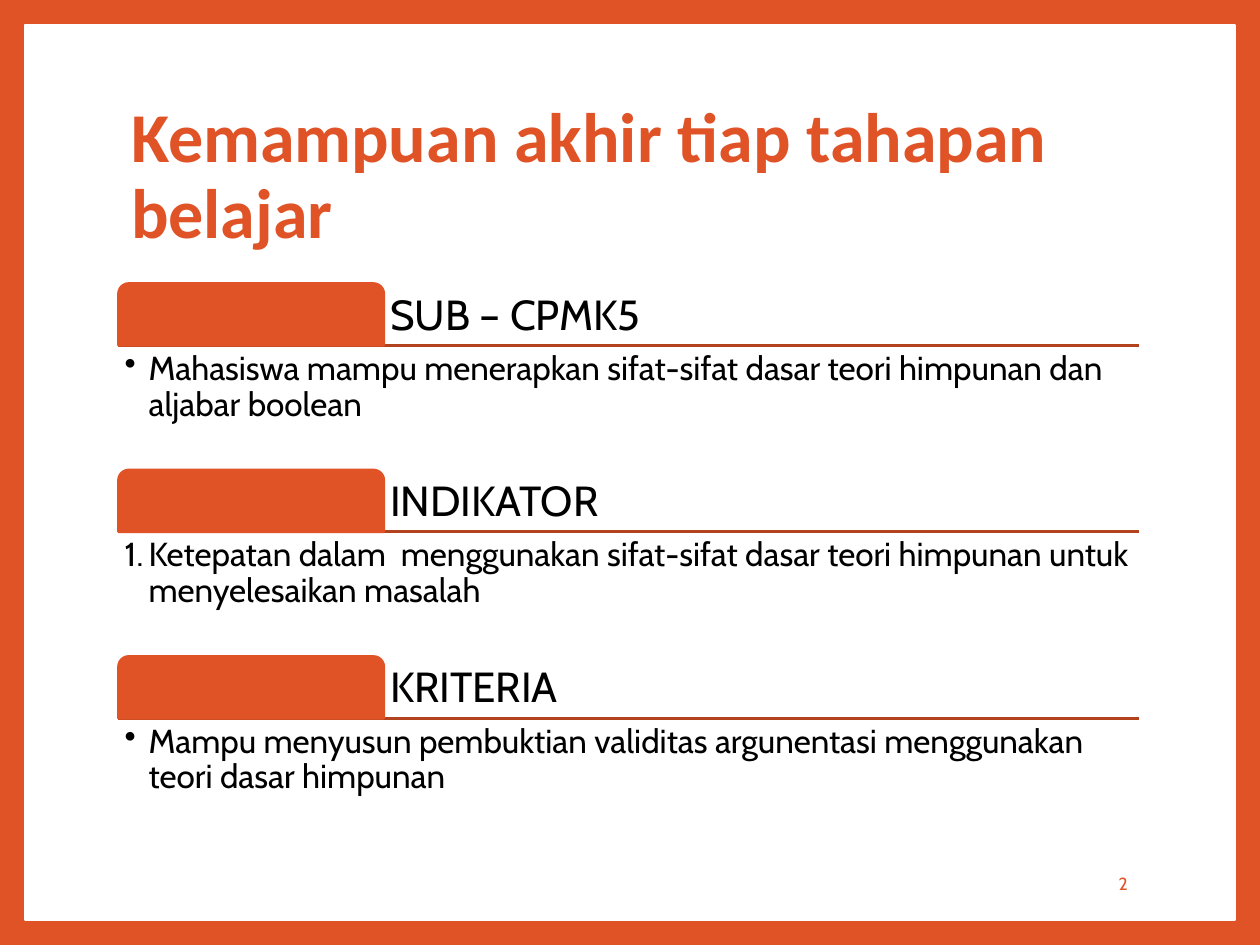
import pptx
import pptx.util
import pptx.dml.color
import pptx.enum.shapes
import pptx.enum.text
import pptx.oxml.ns
from lxml import etree

# Content: heading, bullet type, bullet value, body
TITLE = "Kemampuan akhir tiap tahapan belajar"
PAGE_NUMBER = "2"
SECTIONS = [
    ("SUB – CPMK5", "buChar", {"char": "•"},
     "Mahasiswa mampu menerapkan sifat-sifat dasar teori himpunan dan aljabar boolean"),
    ("INDIKATOR", "buAutoNum", {"type": "arabicPeriod"},
     "Ketepatan dalam  menggunakan sifat-sifat dasar teori himpunan untuk menyelesaikan masalah"),
    ("KRITERIA", "buChar", {"char": "•"},
     "Mampu menyusun pembuktian validitas argunentasi menggunakan teori dasar himpunan"),
]
ORANGE, RUST, WHITE, BLACK = "DF5327", "B3421F", "FFFFFF", "000000"

# Layout in inches
WIDTH, HEIGHT, BORDER = 10, 7.5, 0.2
LEFT, CONTENT_WIDTH = 0.94, 8.1
TOP, PITCH = 2.25, 1.48
TAB_WIDTH, TAB_HEIGHT, BODY_HEIGHT = 0.26 * CONTENT_WIDTH, 0.49, 0.97
INDENT, INSET = 0.19, 0.05

Inches, Pt = pptx.util.Inches, pptx.util.Pt
SHAPES = pptx.enum.shapes.MSO_SHAPE
ANCHOR = pptx.enum.text.MSO_ANCHOR
ALIGN = pptx.enum.text.PP_ALIGN


def color(code):
    return pptx.dml.color.RGBColor.from_string(code)


def box(*lengths):
    return [Inches(length) for length in lengths]


def write(holder, text, size, font, code, anchor, spacing=0.9, inset=None, bold=False):
    frame = holder.text_frame
    frame.text = text
    frame.word_wrap = True
    frame.auto_size = pptx.enum.text.MSO_AUTO_SIZE.NONE
    frame.vertical_anchor = anchor
    if inset is not None:
        frame.margin_left = frame.margin_right = Inches(inset)
        frame.margin_top = frame.margin_bottom = Inches(inset)
    paragraph = frame.paragraphs[0]
    paragraph.alignment = ALIGN.LEFT
    paragraph.line_spacing = spacing
    style = paragraph.runs[0].font
    style.size, style.name, style.bold = Pt(size), font, bold
    style.color.rgb = color(code)
    return paragraph


def block(kind, place, code, line_width):
    shape = slide.shapes.add_shape(kind, *box(*place))
    shape.shadow.inherit = False
    shape.fill.solid()
    shape.fill.fore_color.rgb = color(code)
    shape.line.color.rgb = color(code)
    shape.line.width = Pt(line_width)
    return shape


def set_bullet(paragraph, kind, attributes):
    properties = paragraph._p.get_or_add_pPr()
    properties.set("marL", str(Inches(INDENT)))
    properties.set("indent", str(-Inches(INDENT)))
    etree.SubElement(properties, pptx.oxml.ns.qn("a:" + kind), attributes)


deck = pptx.Presentation()
deck.slide_width, deck.slide_height = box(WIDTH, HEIGHT)
slide = deck.slides.add_slide(deck.slide_layouts[5])

# Frame: coloured background with a white panel behind the title
slide.background.fill.solid()
slide.background.fill.fore_color.rgb = color(ORANGE)
panel = block(SHAPES.RECTANGLE,
              (BORDER, BORDER, WIDTH - 2 * BORDER, HEIGHT - 2 * BORDER), WHITE, 1)
slide.shapes._spTree.insert(2, panel._element)

# Title
title = slide.shapes.title
title.left, title.top, title.width, title.height = box(LEFT, 0.67, CONTENT_WIDTH, 1.48)
write(title, TITLE, 40, "Calibri", ORANGE, ANCHOR.MIDDLE, bold=True)

# Sections: rule, tab, heading and body
for row, (heading, bullet, bullet_value, body) in enumerate(SECTIONS):
    top = TOP + row * PITCH
    base = top + TAB_HEIGHT

    rule = slide.shapes.add_connector(
        pptx.enum.shapes.MSO_CONNECTOR.STRAIGHT,
        *box(LEFT, base, LEFT + CONTENT_WIDTH, base))
    rule.line.color.rgb = color(RUST)
    rule.line.width = Pt(1.5)
    etree.SubElement(rule._element.spPr, pptx.oxml.ns.qn("a:effectLst"))

    heading_box = slide.shapes.add_textbox(
        *box(LEFT + TAB_WIDTH, top, CONTENT_WIDTH - TAB_WIDTH, TAB_HEIGHT))
    write(heading_box, heading, 24, "Cabin", BLACK, ANCHOR.BOTTOM, inset=INSET)

    tab = block(SHAPES.ROUND_2_SAME_RECTANGLE,
                (LEFT, top, TAB_WIDTH, TAB_HEIGHT), ORANGE, 1.5)
    tab.adjustments[0], tab.adjustments[1] = 0.167, 0

    body_box = slide.shapes.add_textbox(*box(LEFT, base, CONTENT_WIDTH, BODY_HEIGHT))
    paragraph = write(body_box, body, 19, "Cabin", BLACK, ANCHOR.TOP, inset=INSET)
    set_bullet(paragraph, bullet, bullet_value)

# Page number
number_box = slide.shapes.add_textbox(*box(7.65, 6.81, 1.4, 0.4))
number = write(number_box, PAGE_NUMBER, 10, "Cabin", ORANGE, ANCHOR.MIDDLE, spacing=1.0)
number.alignment = ALIGN.RIGHT

deck.save("out.pptx")
